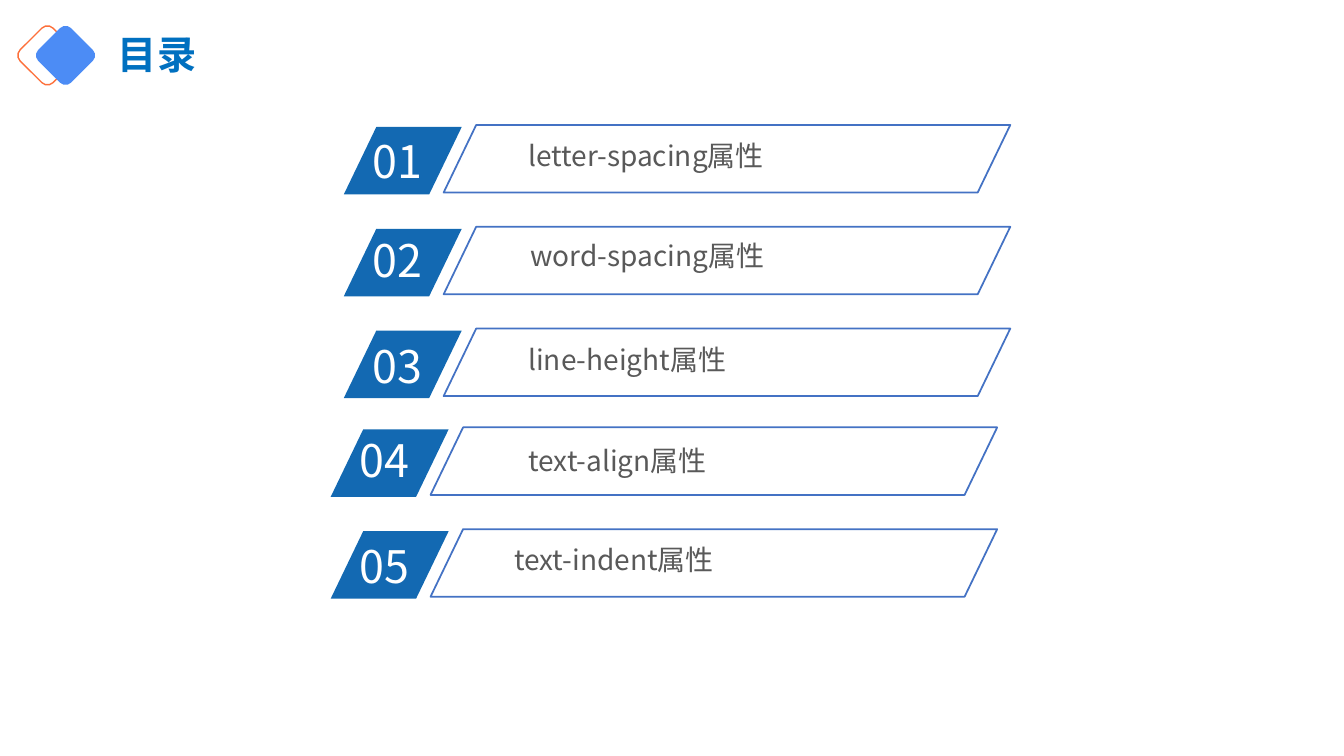
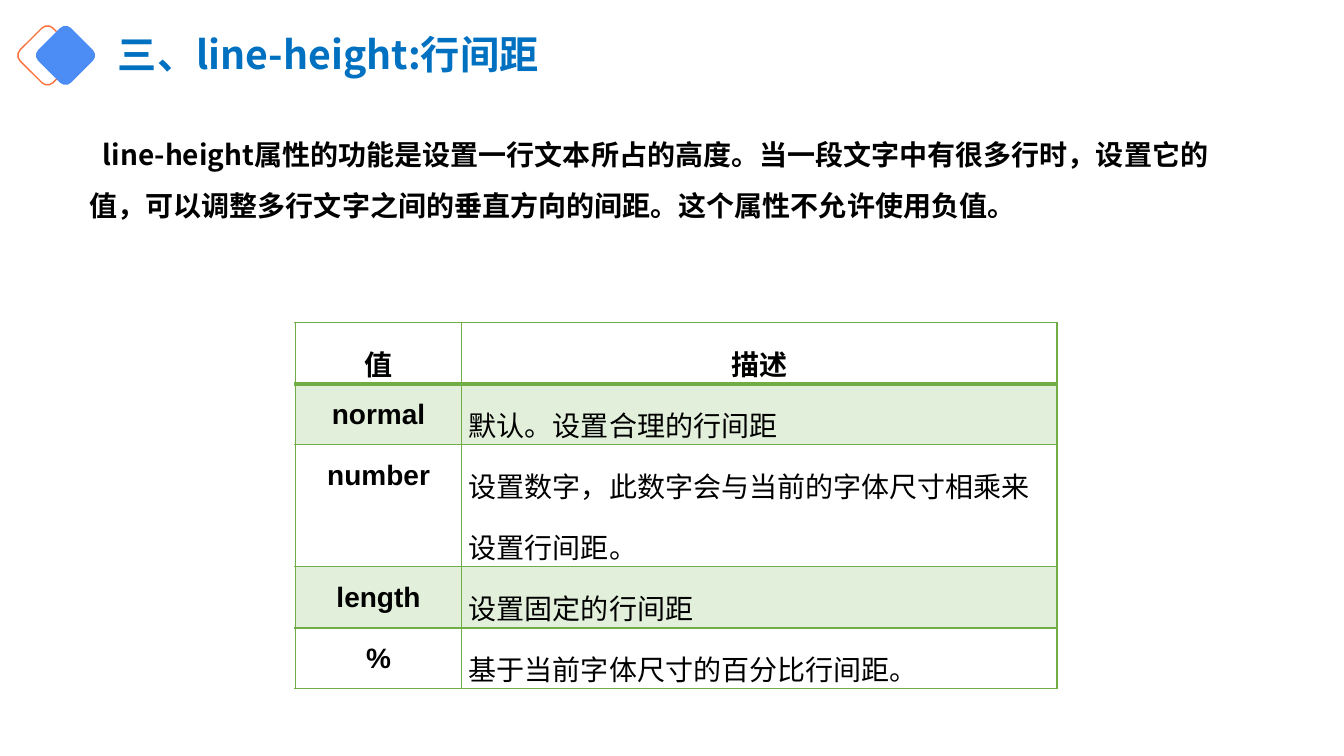
from dataclasses import dataclass

from lxml import etree
from pptx import Presentation
from pptx import util as u
from pptx.dml.color import RGBColor
from pptx.enum import shapes, text
from pptx.oxml.ns import qn

# Content
AGENDA_TITLE = "目录"
# number, topic, topic left, drop of the number and of the topic in its row
AGENDA_GROUPS = [
    {"left": 3.41, "top": 1.26, "items": [
        ("01", "letter-spacing属性", 5.17, 0.02, 0.07),
        ("02", "word-spacing属性", 5.19, -0.01, 0.06),
        ("03", "line-height属性", 5.17, 0.03, 0.08),
    ]},
    {"left": 3.28, "top": 4.26, "items": [
        ("04", "text-align属性", 5.17, -0.02, 0.1),
        ("05", "text-indent属性", 5.03, 0.03, 0.07),
    ]},
]
LINE_HEIGHT_TITLE = "三、line-height:行间距"
LINE_HEIGHT_INTRO = (
    "line-height属性的功能是设置一行文本所占的高度。当一段文字中有很多行时，"
    "设置它的值，可以调整多行文字之间的垂直方向的间距。这个属性不允许使用负值。"
)
VALUES = [
    ("值", "描述"),
    ("normal", "默认。设置合理的行间距"),
    ("number", "设置数字，此数字会与当前的字体尺寸相乘来设置行间距。"),
    ("length", "设置固定的行间距"),
    ("%", "基于当前字体尺寸的百分比行间距。"),
]


@dataclass(frozen=True)
class Theme:
    title: str = "0070C0"
    badge: str = "1369B2"
    frame: str = "4472C4"
    topic: str = "595959"
    ink: str = "000000"
    white: str = "FFFFFF"
    orange: str = "FD703B"
    blue: str = "4C8CF5"
    grid: str = "70AD47"
    band: str = "E2EFDA"
    cjk: str = "Noto Sans CJK SC"
    latin: str = "Arial"
    title_size: int = 28
    number_size: int = 32
    text_size: int = 20
    line_spacing: float = 1.5
    rule: float = 1
    outer_rule: float = 1.5
    header_rule: float = 2.5


THEME = Theme()

# Grid, in inches
SLIDE = (13.33, 7.5)
ROW_STEP = 1.01
BADGE = (1.17, 0.67)
FRAME = (5.62, 0.67)
FRAME_SHIFT = (0.99, -0.02)
NUMBER_SHIFT = 0.19
SLANT = 0.482
TABLE_AT = (2.93, 3.2)
TABLE_COLUMNS = (1.65, 5.9)
TABLE_ROWS = (0.61, 0.6, 1.21, 0.61, 0.6)


def inches(*lengths):
    return [u.Inches(length) for length in lengths]


def colour(code):
    return RGBColor.from_string(code)


def write(paragraph, words, size, code, bold=False, latin=THEME.cjk):
    run = paragraph.add_run()
    run.text = words
    font = run.font
    font.size, font.bold, font.name = u.Pt(size), bold, latin
    font.color.rgb = colour(code)
    east_asian = etree.SubElement(run._r.get_or_add_rPr(), qn("a:ea"))
    east_asian.set("typeface", THEME.cjk)


def add_figure(slide, kind, box, fill=None, line=None, width=1):
    figure = slide.shapes.add_shape(kind, *inches(*box))
    figure.shadow.inherit = False
    if fill:
        figure.fill.solid()
        figure.fill.fore_color.rgb = colour(fill)
    else:
        figure.fill.background()
    if line:
        figure.line.color.rgb = colour(line)
        figure.line.width = u.Pt(width)
    else:
        figure.line.fill.background()
    return figure


def add_slanted(slide, box, **style):
    figure = add_figure(slide, shapes.MSO_SHAPE.PARALLELOGRAM, box, **style)
    figure.adjustments[0] = SLANT


def add_text(slide, box, words, size, code, insets=(0.1, 0.05), bold=False):
    frame = slide.shapes.add_textbox(*inches(*box)).text_frame
    frame.word_wrap = True
    frame.margin_left = frame.margin_right = u.Inches(insets[0])
    frame.margin_top = frame.margin_bottom = u.Inches(insets[1])
    paragraph = frame.paragraphs[0]
    write(paragraph, words, size, code, bold)
    return paragraph


def add_titled_slide(deck, words):
    slide = deck.slides.add_slide(deck.slide_layouts[5])
    # Emblem: two overlapping diamonds
    for left, style in ((0.24, {"line": THEME.orange}),
                        (0.42, {"fill": THEME.blue})):
        diamond = add_figure(slide, shapes.MSO_SHAPE.ROUNDED_RECTANGLE,
                             (left, 0.32, 0.46, 0.46), **style)
        diamond.rotation = 45
    # Title
    title = slide.shapes.title
    title.left, title.top, title.width, title.height = inches(1.07, 0.17, 5.13, 0.79)
    frame = title.text_frame
    frame.auto_size = text.MSO_AUTO_SIZE.NONE
    frame.word_wrap = True
    frame.vertical_anchor = text.MSO_ANCHOR.MIDDLE
    paragraph = frame.paragraphs[0]
    paragraph.alignment = text.PP_ALIGN.LEFT
    paragraph.line_spacing = 0.9
    write(paragraph, words, THEME.title_size, THEME.title, bold=True)
    return slide


def add_agenda(deck):
    slide = add_titled_slide(deck, AGENDA_TITLE)
    for group in AGENDA_GROUPS:
        left = group["left"]
        for row, item in enumerate(group["items"]):
            number, topic, topic_left, number_drop, topic_drop = item
            top = group["top"] + row * ROW_STEP
            add_slanted(slide, (left, top, *BADGE), fill=THEME.badge)
            add_text(slide, (left + NUMBER_SHIFT, top + number_drop, 1.12, 0.64),
                     number, THEME.number_size, THEME.white)
            add_text(slide, (topic_left, top + topic_drop, 4.12, 0.41),
                     topic, THEME.text_size, THEME.topic, insets=(0.07, 0.04))
            add_slanted(slide, (left + FRAME_SHIFT[0], top + FRAME_SHIFT[1], *FRAME),
                        line=THEME.frame, width=1.25)


def set_borders(cell, widths):
    properties = cell._tc.get_or_add_tcPr()
    for side, width in widths.items():
        border = etree.SubElement(properties, qn(f"a:ln{side}"), w=str(u.Pt(width)))
        fill = etree.SubElement(border, qn("a:solidFill"))
        etree.SubElement(fill, qn("a:srgbClr"), val=THEME.grid)


def add_values_table(slide):
    table = slide.shapes.add_table(
        len(VALUES), len(TABLE_COLUMNS),
        *inches(*TABLE_AT, sum(TABLE_COLUMNS), sum(TABLE_ROWS))).table
    table.first_row = table.horz_banding = False
    for column, width in zip(table.columns, TABLE_COLUMNS):
        column.width = u.Inches(width)
    for row, height in zip(table.rows, TABLE_ROWS):
        row.height = u.Inches(height)
    for r, entry in enumerate(VALUES):
        for c, words in enumerate(entry):
            cell = table.cell(r, c)
            heading = r == 0 or c == 0
            set_borders(cell, {
                "L": THEME.outer_rule if c == 0 else THEME.rule,
                "R": THEME.rule if c == 0 else THEME.outer_rule,
                "T": THEME.header_rule if r == 1 else THEME.rule,
                "B": THEME.header_rule if r == 0 else THEME.rule,
            })
            if r % 2:
                cell.fill.solid()
                cell.fill.fore_color.rgb = colour(THEME.band)
            else:
                cell.fill.background()
            cell.margin_left = cell.margin_right = u.Inches(0.07)
            cell.margin_top = cell.margin_bottom = 0
            paragraph = cell.text_frame.paragraphs[0]
            paragraph.line_spacing = THEME.line_spacing
            paragraph.alignment = (text.PP_ALIGN.CENTER if heading
                                   else text.PP_ALIGN.LEFT)
            write(paragraph, words, THEME.text_size, THEME.ink, heading, THEME.latin)


def add_line_height(deck):
    slide = add_titled_slide(deck, LINE_HEIGHT_TITLE)
    intro = add_text(slide, (0.79, 1.15, 11.42, 1.2), LINE_HEIGHT_INTRO,
                     THEME.text_size, THEME.ink, bold=True)
    intro.line_spacing = THEME.line_spacing
    intro._p.get_or_add_pPr().set("indent", str(u.Inches(0.13)))
    add_values_table(slide)


def main():
    deck = Presentation()
    deck.slide_width, deck.slide_height = inches(*SLIDE)
    add_agenda(deck)
    add_line_height(deck)
    deck.save("out.pptx")


if __name__ == "__main__":
    main()
